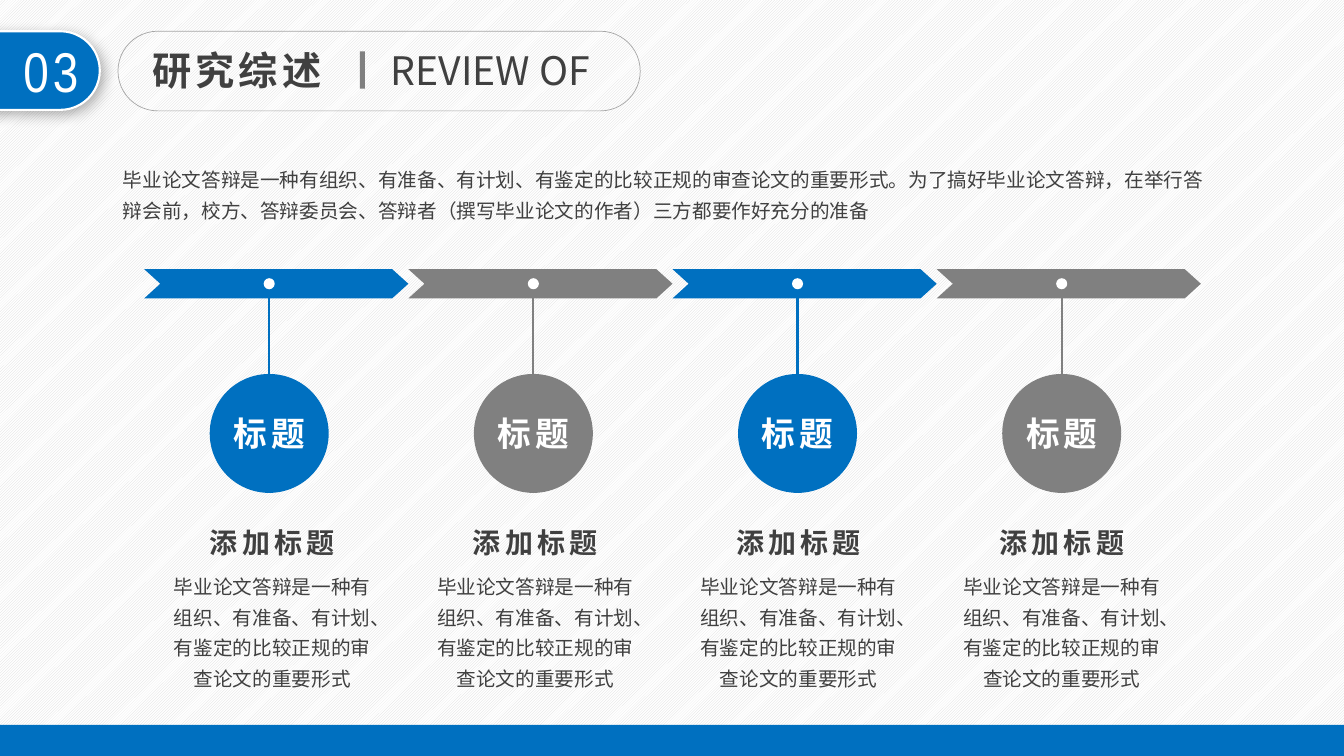
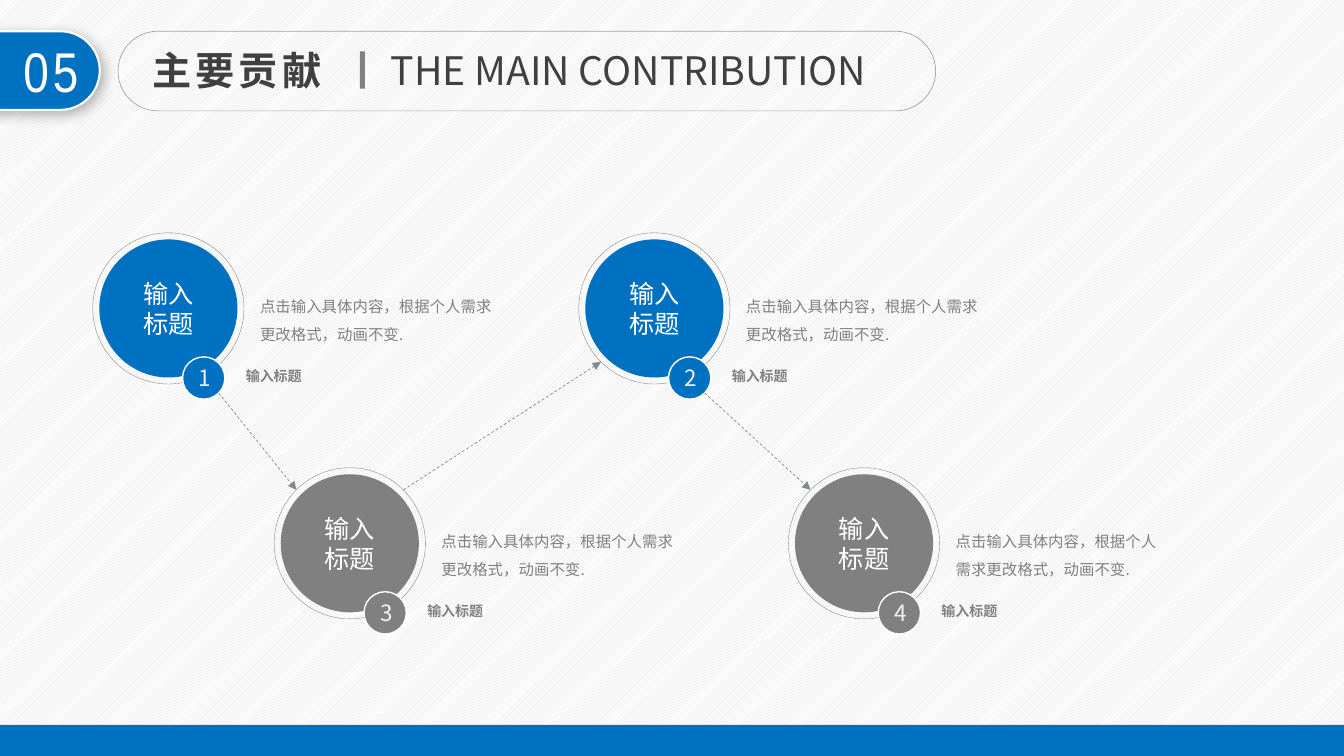
from dataclasses import dataclass
from typing import NamedTuple, Optional

from lxml import etree
from pptx import Presentation
from pptx import util as u
from pptx.dml.color import RGBColor
from pptx.enum import dml, shapes, text
from pptx.oxml.ns import qn

W, H = 13.33, 7.5
LEFT, CENTER = text.PP_ALIGN.LEFT, text.PP_ALIGN.CENTER
TOP, MIDDLE = text.MSO_ANCHOR.TOP, text.MSO_ANCHOR.MIDDLE
OVAL = shapes.MSO_SHAPE.OVAL
RECT = shapes.MSO_SHAPE.RECTANGLE
PILL = shapes.MSO_SHAPE.ROUNDED_RECTANGLE


@dataclass(frozen=True)
class Style:
    size: float
    color: str
    bold: bool = False
    font: str = "Noto Sans CJK SC"
    tracking: float = 0
    align: int = LEFT
    spacing: float = 1.0


@dataclass(frozen=True)
class Theme:
    blue: str = "0070C0"
    grey: str = "808080"
    white: str = "FFFFFF"
    hatch: str = "D9D9D9"
    outline: str = "A6A6A6"
    arrow: str = "7F8C8D"
    east_asian: str = "Noto Sans CJK SC"
    number: Style = Style(40, "FFFFFF", font="Arial Narrow", tracking=3, align=CENTER)
    title: Style = Style(28, "404040", bold=True, tracking=3)
    subtitle: Style = Style(28, "404040")
    intro: Style = Style(14, "404040", font="Arial", spacing=1.3)
    body: Style = Style(14, "404040", font="Arial", align=CENTER, spacing=1.3)
    heading: Style = Style(20, "404040", bold=True, tracking=3, align=CENTER)
    step: Style = Style(24, "FFFFFF", bold=True, tracking=3, align=CENTER)
    disc: Style = Style(18, "FFFFFF", align=CENTER)
    badge: Style = Style(16, "F2F2F2", align=CENTER)
    label: Style = Style(10, "808080", bold=True)
    note: Style = Style(11, "808080", spacing=1.5)


T = Theme()


class Box(NamedTuple):
    """Left, top, width and height in inches."""
    x: float
    y: float
    w: float
    h: float

    @classmethod
    def around(cls, cx: float, cy: float, w: float, h: Optional[float] = None) -> "Box":
        h = w if h is None else h
        return cls(cx - w / 2, cy - h / 2, w, h)

    def emu(self) -> list:
        return [u.Inches(v) for v in self]

    def rim(self, dx: int, dy: int) -> tuple:
        """Point on the inscribed circle, on the diagonal given by two signs."""
        reach = self.w / 2 * 0.5 ** 0.5
        return self.x + self.w / 2 + dx * reach, self.y + self.h / 2 + dy * reach


class Step(NamedTuple):
    color: str
    label: str
    heading: str
    body: str


class Node(NamedTuple):
    """A ring centred at percentages of the slide's width and height."""
    number: str
    col: float
    row: float
    color: str
    note_w: float = 2.59

    def ring(self) -> Box:
        return Box.around(self.col * W / 100, self.row * H / 100, 1.5)

    def badge(self) -> Box:
        ring = self.ring()
        return Box(ring.x + 0.89, ring.y + 1.23, 0.42, 0.42)


def set_all(target, values: dict) -> None:
    for name, value in values.items():
        setattr(target, name, value)


def write(sp, content: str, style: Style, anchor=TOP, wrap: bool = True,
          inset: Optional[float] = None) -> None:
    tf = sp.text_frame
    set_all(tf, {"word_wrap": wrap, "vertical_anchor": anchor,
                 "auto_size": text.MSO_AUTO_SIZE.NONE})
    if inset is not None:
        sides = ("left", "top", "right", "bottom")
        set_all(tf, {f"margin_{side}": u.Inches(inset) for side in sides})
    for i, line in enumerate(content.split("\n")):
        p = tf.add_paragraph() if i else tf.paragraphs[0]
        set_all(p, {"alignment": style.align, "line_spacing": style.spacing})
        r = p.add_run()
        r.text = line
        set_all(r.font, {"size": u.Pt(style.size), "bold": style.bold,
                         "name": style.font})
        r.font.color.rgb = RGBColor.from_string(style.color)
        rpr = r.font._element
        if style.tracking:
            rpr.set("spc", str(int(style.tracking * 100)))
        ea = etree.Element(qn("a:ea"), typeface=T.east_asian)
        rpr.find(qn("a:latin")).addnext(ea)


def add_text(s, box: Box, content: str, style: Style, wrap: bool = True) -> None:
    write(s.shapes.add_textbox(*box.emu()), content, style, wrap=wrap)


def paint(sp, fill: Optional[str] = None, line: Optional[str] = None,
          width: float = 1) -> None:
    sp.shadow.inherit = False
    if fill:
        sp.fill.solid()
        sp.fill.fore_color.rgb = RGBColor.from_string(fill)
    else:
        sp.fill.background()
    if line:
        sp.line.color.rgb = RGBColor.from_string(line)
        sp.line.width = u.Pt(width)
    else:
        sp.line.fill.background()


def add_shape(s, kind, box: Box, fill: Optional[str] = None,
              line: Optional[str] = None, width: float = 1):
    sp = s.shapes.add_shape(kind, *box.emu())
    if kind == PILL:
        sp.adjustments[0] = 0.5
    paint(sp, fill, line, width)
    return sp


def add_line(s, start: tuple, end: tuple, color: str, width: float):
    points = [u.Inches(v) for v in (*start, *end)]
    cx = s.shapes.add_connector(shapes.MSO_CONNECTOR.STRAIGHT, *points)
    cx.line.color.rgb = RGBColor.from_string(color)
    cx.line.width = u.Pt(width)
    etree.SubElement(cx._element.spPr, qn("a:effectLst"))
    return cx


def add_dashed_arrow(s, start: tuple, end: tuple) -> None:
    cx = add_line(s, start, end, T.arrow, 0.5)
    cx.line.dash_style = dml.MSO_LINE.DASH
    ln = cx._element.spPr.find(qn("a:ln"))
    etree.SubElement(ln, qn("a:tailEnd"), type="triangle")


def add_soft_shadow(sp) -> None:
    effects = sp._element.spPr.find(qn("a:effectLst"))
    shadow = etree.SubElement(effects, qn("a:outerShdw"), blurRad=str(u.Pt(10)),
                              dist=str(u.Pt(4)), dir=str(45 * 60000),
                              algn="tl", rotWithShape="0")
    color = etree.SubElement(shadow, qn("a:srgbClr"), val="000000")
    etree.SubElement(color, qn("a:alpha"), val="30000")


def hatch_background(prs) -> None:
    fill = prs.slide_master.background.fill
    fill.patterned()
    fill.pattern = dml.MSO_PATTERN.LIGHT_UPWARD_DIAGONAL
    fill.fore_color.rgb = RGBColor.from_string(T.hatch)
    fill.back_color.rgb = RGBColor.from_string(T.white)


def new_slide(prs, number: str, title: str, subtitle: str, pill_w: float):
    """Add a title-only slide with its number tab, title pill and bottom band."""
    s = prs.slides.add_slide(prs.slide_layouts[5])
    tab = add_shape(s, PILL, Box(-1.12, 0.31, 2.11, 0.78), T.blue, T.white, 1.5)
    add_soft_shadow(tab)
    add_text(s, Box(0.02, 0.31, 0.97, 0.77), number, T.number)
    add_shape(s, PILL, Box(1.17, 0.31, pill_w, 0.79), None, T.outline, 0.5)
    heading = s.shapes.title
    place = Box(1.41, 0.41, 1.96, 0.57).emu()
    set_all(heading, dict(zip(("left", "top", "width", "height"), place)))
    write(heading, title, T.title)
    add_shape(s, RECT, Box(3.57, 0.51, 0.05, 0.37), T.grey)
    add_text(s, Box(3.78, 0.41, pill_w - 2.84, 0.57), subtitle, T.subtitle, wrap=False)
    add_shape(s, RECT, Box(0, H - 0.31, W, 0.31), T.blue)
    return s


def add_chevron(s, box: Box, color: str) -> None:
    notch = 0.16
    right, mid, bottom = box.x + box.w, box.y + box.h / 2, box.y + box.h
    outline = [(right - notch, box.y), (right, mid), (right - notch, bottom),
               (box.x, bottom), (box.x + notch, mid)]
    fb = s.shapes.build_freeform(u.Inches(box.x), u.Inches(box.y))
    fb.add_line_segments([(u.Inches(x), u.Inches(y)) for x, y in outline])
    paint(fb.convert_to_shape(), color)


def add_step(s, i: int, step: Step) -> None:
    left, pitch, text_pitch = 1.43, 2.62, 2.61
    arrow = Box(left + i * pitch, 2.67, pitch, 0.29)
    axis = arrow.x + 1.24
    text_axis = left + 1.27 + i * text_pitch
    circle = add_shape(s, OVAL, Box.around(axis, 4.3, 1.18), step.color)
    write(circle, step.label, T.step, MIDDLE, inset=0)
    stem = add_line(s, (axis, 3.71), (axis, arrow.y + arrow.h), step.color, 1.5)
    stem.begin_connect(circle, 0)
    add_chevron(s, arrow, step.color)
    add_shape(s, OVAL, Box.around(axis, arrow.y + arrow.h / 2, 0.11), T.white)
    add_text(s, Box.around(text_axis, 5.38, 1.49, 0.44), step.heading, T.heading,
             wrap=False)
    add_text(s, Box.around(text_axis, 6.25, 2.16, 1.33), step.body, T.body)


def add_node(s, node: Node) -> None:
    ring = node.ring()
    disc = Box.around(ring.x + 0.75, ring.y + 0.75, 1.37)
    write(add_shape(s, OVAL, disc, node.color), "输入\n标题", T.disc, MIDDLE)
    add_shape(s, OVAL, ring, None, T.grey, 0.25)
    badge = add_shape(s, OVAL, node.badge(), node.color, T.white, 1)
    write(badge, node.number, T.badge, MIDDLE)
    add_text(s, Box(ring.x + 1.42, ring.y + 1.29, 0.76, 0.27), "输入标题", T.label,
             wrap=False)
    add_text(s, Box(ring.x + 1.56, ring.y + 0.5, node.note_w, 0.62),
             "点击输入具体内容，根据个人需求更改格式，动画不变.", T.note)


def review_slide(prs) -> None:
    s = new_slide(prs, "03", "研究综述", "REVIEW OF", 5.18)
    summary = "毕业论文答辩是一种有组织、有准备、有计划、有鉴定的比较正规的审查论文的重要形式"
    for i, color in enumerate((T.blue, T.grey) * 2):
        add_step(s, i, Step(color, "标题", "添加标题", summary))
    add_text(s, Box(1.12, 1.55, 11.1, 0.68),
             summary + "。为了搞好毕业论文答辩，在举行答辩会前，校方、答辩委员会、"
             "答辩者（撰写毕业论文的作者）三方都要作好充分的准备", T.intro)


def contribution_slide(prs) -> None:
    s = new_slide(prs, "05", "主要贡献", "THE MAIN CONTRIBUTION", 8.11)
    upper, lower = 40.8, 71.87
    first = Node("1", 12.53, upper, T.blue)
    second = Node("2", 48.69, upper, T.blue)
    third = Node("3", 26.03, lower, T.grey)
    fourth = Node("4", 64.29, lower, T.grey, note_w=2.26)
    for node in (first, third, second, fourth):
        add_node(s, node)
    add_dashed_arrow(s, first.badge().rim(1, 1), third.ring().rim(-1, -1))
    add_dashed_arrow(s, third.ring().rim(1, -1), second.ring().rim(-1, 1))
    add_dashed_arrow(s, second.badge().rim(1, 1), fourth.ring().rim(-1, -1))


def main() -> None:
    prs = Presentation()
    set_all(prs, {"slide_width": u.Inches(W), "slide_height": u.Inches(H)})
    hatch_background(prs)
    review_slide(prs)
    contribution_slide(prs)
    prs.save("out.pptx")


if __name__ == "__main__":
    main()
